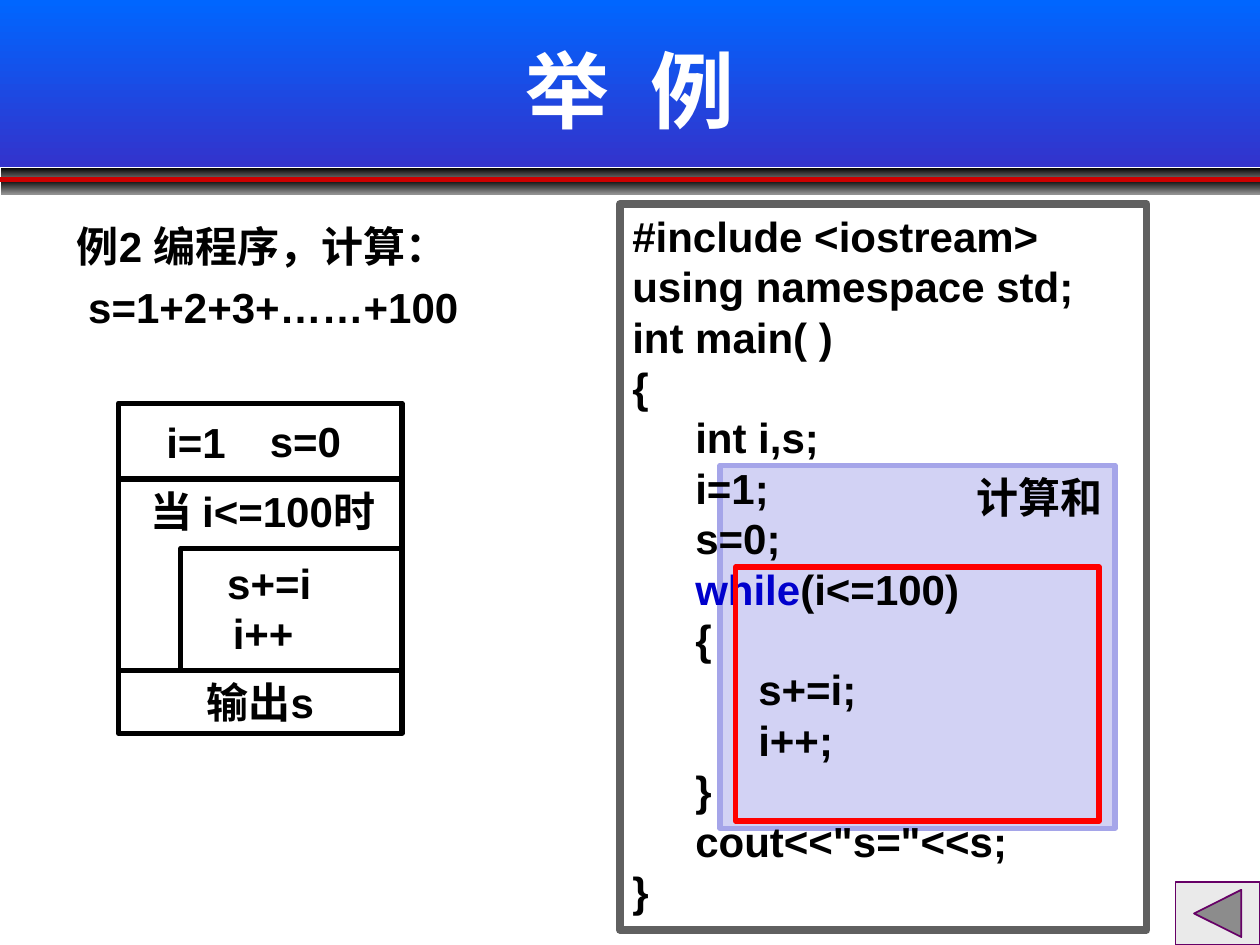
from dataclasses import dataclass

from lxml.etree import SubElement
from pptx import Presentation
from pptx.dml.color import RGBColor
from pptx.enum.shapes import MSO_CONNECTOR, MSO_SHAPE
from pptx.enum.text import MSO_ANCHOR, MSO_AUTO_SIZE, PP_ALIGN
from pptx.oxml.ns import qn
from pptx.util import Inches, Pt


@dataclass(frozen=True)
class Theme:
    latin: str = "Arial"
    cjk: str = "Noto Sans CJK SC"
    title_size: float = 48
    text_size: float = 24
    leading: float = 28.8
    outline: float = 3
    black: str = "000000"
    white: str = "FFFFFF"
    banner_top: str = "0066FF"
    banner_end: str = "3333CC"
    bar_end: str = "929292"
    rule: str = "CC0000"
    frame: str = "606060"
    keyword: str = "0000CC"
    area: str = "D2D2F4"
    area_line: str = "A5A5E9"
    loop: str = "FF0000"
    button: str = "EAEAEA"
    button_line: str = "660066"


T = Theme()
CODE = [
    "#include <iostream>", "using namespace std;", "int main( )", "{",
    "\tint i,s;", "\ti=1;", "\ts=0;",
    [("\t", T.black), ("while", T.keyword), ("(i<=100)", T.black)],
    "\t{", "\t\ts+=i;", "\t\ti++;", "\t}", "\tcout<<\"s=\"<<s;", "}",
]


def rgb(value):
    return RGBColor.from_string(value)


def part(box, left, top, width, height):
    """Turn shares of a box into a box in inches."""
    x, y, w, h = box
    return x + left * w, y + top * h, width * w, height * h


def place(sp, box):
    sp.left, sp.top, sp.width, sp.height = map(Inches, box)


def write(sp, lines, size=T.text_size, color=T.black, align=PP_ALIGN.LEFT,
          anchor=MSO_ANCHOR.TOP, leading=T.leading, before=0, spacing=0, inset=0.1):
    """Fill a shape; a line is a string or a list of (text, colour) runs."""
    tf = sp.text_frame
    tf.word_wrap, tf.auto_size, tf.vertical_anchor = True, MSO_AUTO_SIZE.NONE, anchor
    tf.margin_left = Inches(inset)
    for i, line in enumerate(lines):
        p = tf.add_paragraph() if i else tf.paragraphs[0]
        pPr = p._p.get_or_add_pPr()
        pPr.set("marL", "0")
        pPr.set("indent", "0")
        SubElement(pPr, qn("a:buNone"))
        p.alignment = align
        p.space_before = Pt(before if i else 0)
        if leading:
            p.line_spacing = Pt(leading)
        for text, tint in [(line, color)] if isinstance(line, str) else line:
            r = p.add_run()
            r.text = text
            r.font.size, r.font.bold, r.font.name = Pt(size), True, T.latin
            r.font.color.rgb = rgb(tint)
            rPr = r._r.get_or_add_rPr()
            SubElement(rPr, qn("a:ea")).set("typeface", T.cjk)
            if spacing:
                rPr.set("spc", str(spacing))


def shape(s, box, fill=None, line=None, width=T.outline, kind=MSO_SHAPE.RECTANGLE):
    """Add a shape; a pair of fill colours makes a gradient from top to bottom."""
    sp = s.shapes.add_shape(kind, *map(Inches, box))
    sp.shadow.inherit = False
    if isinstance(fill, tuple):
        sp.fill.gradient()
        sp.fill.gradient_angle = 270
        for stop, color, position in zip(sp.fill.gradient_stops, fill, (0, 1)):
            stop.color.rgb, stop.position = rgb(color), position
    elif fill:
        sp.fill.solid()
        sp.fill.fore_color.rgb = rgb(fill)
    else:
        sp.fill.background()
    if line:
        sp.line.color.rgb, sp.line.width = rgb(line), Pt(width)
    else:
        sp.line.fill.background()
    return sp


def label(s, box, text):
    write(s.shapes.add_textbox(*map(Inches, box)), [text])


def banner(s, box, title):
    x, y, w, h = box
    rule_y = y + 1.07 * h
    shape(s, box, (T.banner_top, T.banner_end))
    for top in (y + h, rule_y):
        shape(s, (x + 0.01, top, w - 0.01, 0.09 * h), (T.black, T.bar_end))
    rule = s.shapes.add_connector(MSO_CONNECTOR.STRAIGHT, *map(Inches, (x, rule_y, x + w, rule_y)))
    rule.line.color.rgb, rule.line.width = rgb(T.rule), Pt(T.outline)
    SubElement(rule._element.spPr, qn("a:effectLst"))
    sp = s.shapes.title
    place(sp, part(box, 0.075, 0.06, 0.85, 0.94))
    write(sp, [title], size=T.title_size, color=T.white, align=PP_ALIGN.CENTER,
          anchor=MSO_ANCHOR.MIDDLE, leading=None, spacing=650)
    s.shapes._spTree.append(sp._element)


def problem(s, box, lines):
    sp = s.placeholders[1]
    place(sp, box)
    write(sp, lines, before=6)
    sp.text_frame.paragraphs[1]._p.pPr.set("marL", str(Inches(0.09)))


def code_panel(s, box):
    area = shape(s, part(box, 0.19, 0.36, 0.75, 0.5), T.area, T.area_line)
    write(area, ["计算和"], align=PP_ALIGN.RIGHT)
    write(shape(s, box, line=T.frame, width=4.5), CODE)
    shape(s, part(box, 0.22, 0.5, 0.69, 0.35), line=T.loop)


def structure_chart(s, box):
    start, _, end = [shape(s, part(box, 0, top, 1, height), line=T.black)
                     for top, height in ((0, 0.23), (0.23, 0.58), (0.81, 0.19))]
    shape(s, part(box, 0.22, 0.44, 0.78, 0.37), line=T.black)
    write(start, ["i=1"], anchor=MSO_ANCHOR.MIDDLE, inset=0.38)
    write(end, ["输出s"], anchor=MSO_ANCHOR.MIDDLE, align=PP_ALIGN.CENTER)
    for text, left, top, width in (("s=0", 0.49, 0.02, 0.51), ("当 i<=100时", 0.07, 0.23, 1.04),
                                   ("s+=i", 0.34, 0.45, 0.52), ("i++", 0.36, 0.6, 0.52)):
        label(s, part(box, left, top, width, 0.19), text)


def back_button(s, box):
    shape(s, box, T.button, T.button_line, 1, MSO_SHAPE.ACTION_BUTTON_BACK_OR_PREVIOUS)


def main():
    prs = Presentation()
    prs.slide_width, prs.slide_height = Inches(10), Inches(7.5)
    s = prs.slides.add_slide(prs.slide_layouts[1])
    banner(s, (0, 0, 10, 1.33), "举 例")
    problem(s, (0.51, 1.7, 4.36, 0.99), ["例2 编程序，计算：", "s=1+2+3+……+100"])
    code_panel(s, (4.92, 1.62, 4.18, 5.76))
    structure_chart(s, (0.94, 3.2, 2.25, 2.62))
    back_button(s, (9.33, 7, 0.67, 0.5))
    prs.save("out.pptx")


if __name__ == "__main__":
    main()
